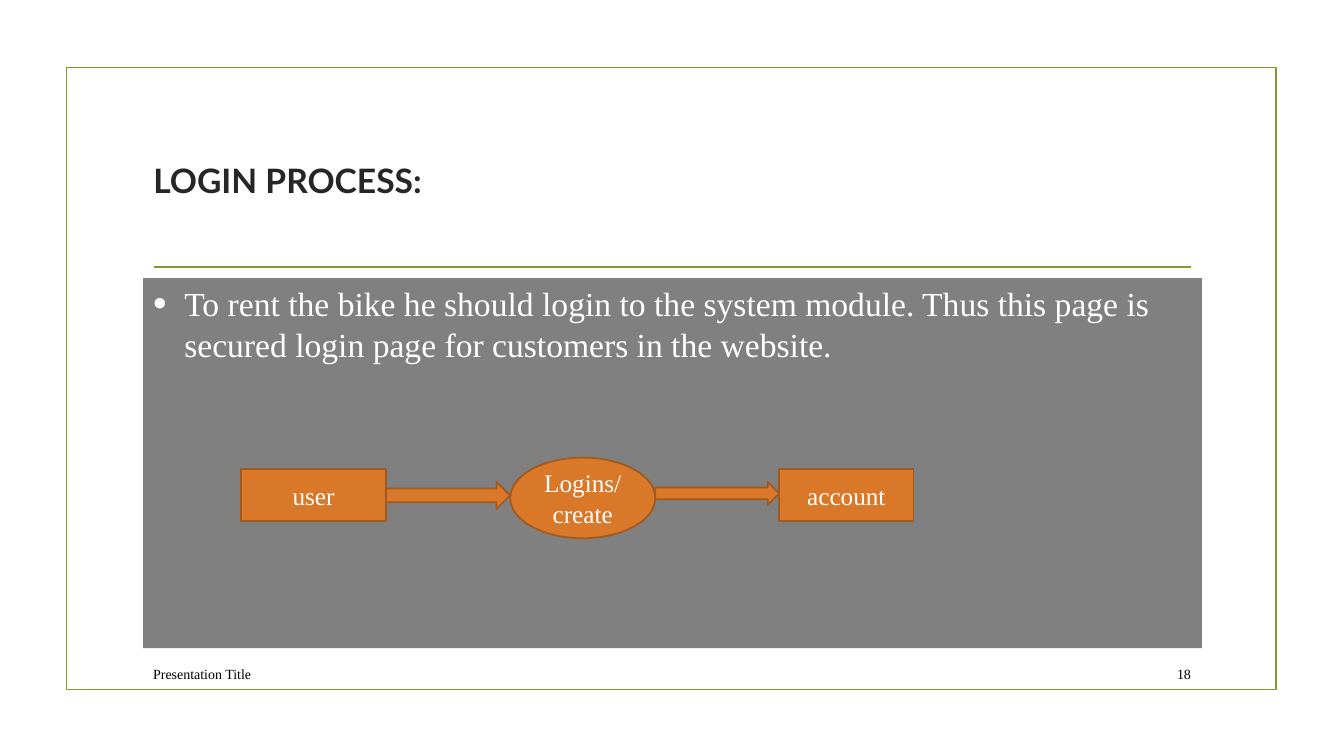
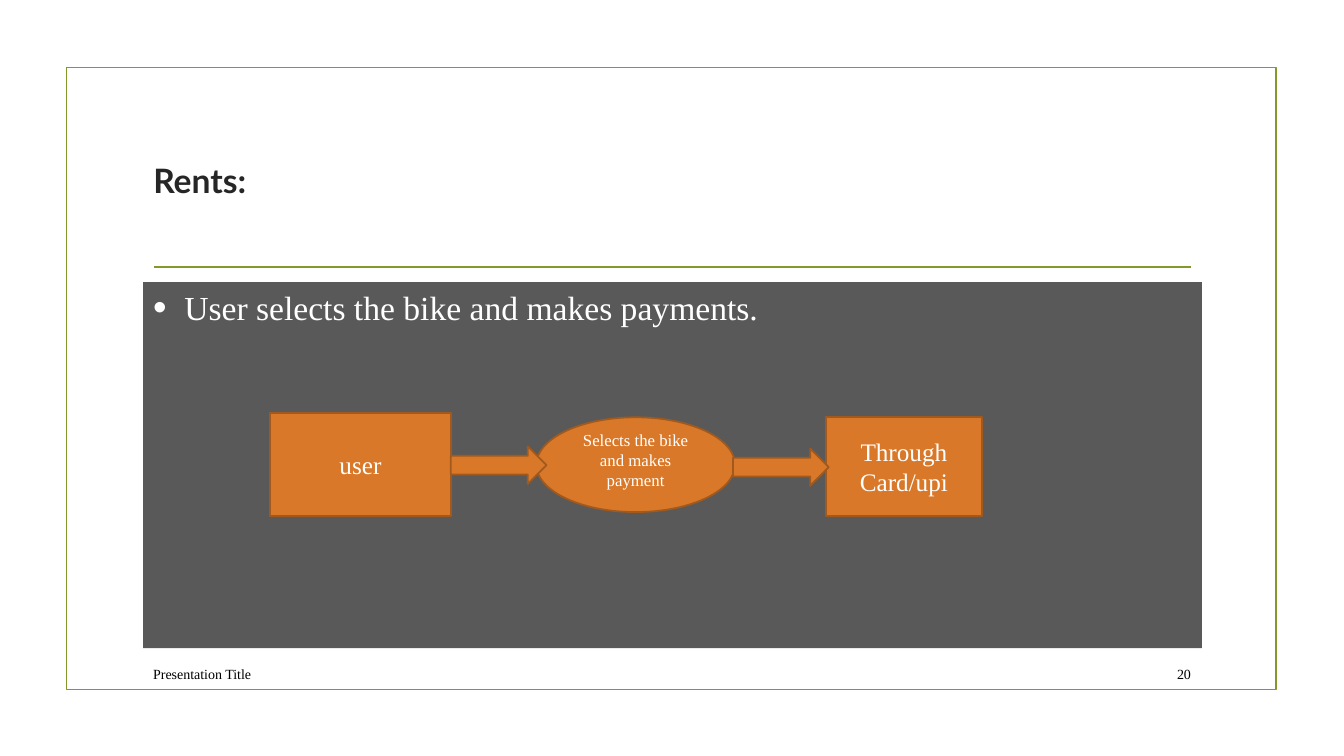
from lxml import etree
from pptx import Presentation
from pptx import util as u
from pptx.dml.color import RGBColor
from pptx.enum import shapes, text
from pptx.oxml import ns

PX = 9144  # EMU in one px, 100 px to the inch
WIDE, HIGH = 1333, 750
LEFT, SPAN = 142, 1050
INSET = 5

GREEN = RGBColor(0x83, 0x99, 0x2A)
INK = RGBColor(0x26, 0x26, 0x26)
BLACK = RGBColor(0, 0, 0)
WHITE = RGBColor(0xFF, 0xFF, 0xFF)
GRAY = RGBColor(0x80, 0x80, 0x80)
DARK = RGBColor(0x59, 0x59, 0x59)
ORANGE = RGBColor(0xD9, 0x78, 0x28)
RUST = RGBColor(0xA1, 0x59, 0x1E)

HEAD, BODY = "Lato", "Times New Roman"
STROKE = u.Pt(1.25)

KIND = shapes.MSO_SHAPE
ALIGN = text.PP_ALIGN
ANCHOR = text.MSO_ANCHOR


def px(*sizes):
    return [u.Emu(size * PX) for size in sizes]


class Deck:
    def __init__(self):
        self.prs = Presentation()
        self.prs.slide_width, self.prs.slide_height = px(WIDE, HIGH)
        self.slide = None

    def page(self, title, number):
        """Start a slide with the frame, title, rule and footer all slides share."""
        self.slide = self.prs.slides.add_slide(self.prs.slide_layouts[5])
        self.shape(KIND.RECTANGLE, (66, 67, 1200, 617), None, GREEN)
        self.rule(153, 265, 1181)
        self.title(title)
        self.label("Presentation Title", (LEFT, 653, 799, 31), ALIGN.LEFT)
        self.label(number, (1132, 653, 59, 31), ALIGN.RIGHT)

    def put(self, shape, lines, size, color, align, font=BODY, bold=False,
            anchor=ANCHOR.MIDDLE):
        """Set the lines as paragraphs of the shape and return its text frame."""
        frame = shape.text_frame
        frame.word_wrap = True
        frame.auto_size = text.MSO_AUTO_SIZE.NONE
        frame.vertical_anchor = anchor
        for i, line in enumerate(lines):
            para = frame.add_paragraph() if i else frame.paragraphs[0]
            para.alignment = align
            run = para.add_run()
            run.text = line
            face = run.font
            face.name, face.size, face.bold = font, u.Pt(size), bold
            face.color.rgb = color
        return frame

    def title(self, words):
        box = self.slide.shapes.title
        box.left, box.top, box.width, box.height = px(LEFT, 107, SPAN, 143)
        self.put(box, [words], 24, INK, ALIGN.LEFT, HEAD, True)

    def label(self, words, at, align):
        box = self.slide.shapes.add_textbox(*px(*at))
        self.put(box, [words], 10, BLACK, align)

    def rule(self, start, y, end):
        line = self.slide.shapes.add_connector(
            shapes.MSO_CONNECTOR.STRAIGHT, *px(start, y, end, y))
        line.line.color.rgb, line.line.width = GREEN, STROKE
        etree.SubElement(line._element.spPr, ns.qn("a:effectLst"))

    def shape(self, kind, at, fill, edge):
        shape = self.slide.shapes.add_shape(kind, *px(*at))
        shape.shadow.inherit = False
        if fill is None:
            shape.fill.background()
        else:
            shape.fill.solid()
            shape.fill.fore_color.rgb = fill
        if edge is None:
            shape.line.fill.background()
        else:
            shape.line.color.rgb, shape.line.width = edge, STROKE
        return shape

    def panel(self, words, top, fill):
        """Add the filled body, down to the footer, with one bulleted line."""
        box = self.shape(KIND.RECTANGLE, (LEFT, top, SPAN, 643 - top), fill, None)
        frame = self.put(box, [words], 24, WHITE, ALIGN.LEFT, anchor=ANCHOR.TOP)
        para = frame.paragraphs[0]
        props = para._p.get_or_add_pPr()
        indent, = px(31)
        props.set("marL", str(indent))
        props.set("indent", str(-indent))
        tint = etree.SubElement(props, ns.qn("a:buClr"))
        etree.SubElement(tint, ns.qn("a:srgbClr"), val=str(WHITE))
        etree.SubElement(props, ns.qn("a:buSzPct"), val="115000")
        etree.SubElement(props, ns.qn("a:buFont"), typeface="Arial")
        etree.SubElement(props, ns.qn("a:buChar"), char="•")
        para.space_after = u.Pt(6)

    def node(self, kind, at, *lines, size=18, lift=0):
        """Add a step of the flow; lift raises its text by that many px."""
        shape = self.shape(kind, at, ORANGE, RUST)
        frame = self.put(shape, lines, size, WHITE, ALIGN.CENTER)
        frame.margin_bottom, = px(INSET + 2 * lift)

    def arrow(self, *at):
        self.shape(KIND.RIGHT_ARROW, at, ORANGE, RUST)


def main():
    deck = Deck()

    deck.page("LOGIN PROCESS:", "18")
    deck.panel("To rent the bike he should login to the system module. "
               "Thus this page is secured login page for customers in the website.",
               276, GRAY)
    deck.node(KIND.RECTANGLE, (239, 465, 144, 52), "user")
    deck.node(KIND.OVAL, (506, 454, 144, 80), "Logins/create")
    deck.node(KIND.RECTANGLE, (773, 465, 133, 52), "account")
    deck.arrow(383, 478, 123, 27)
    deck.arrow(650, 478, 123, 23)

    deck.page("Rents:", "20")
    deck.panel("User selects the bike and makes payments.", 280, DARK)
    deck.node(KIND.RECTANGLE, (268, 410, 179, 102), "user")
    deck.node(KIND.OVAL, (532, 414, 197, 94),
              "Selects the bike and makes payment", size=12, lift=5)
    deck.node(KIND.RECTANGLE, (819, 414, 155, 98), "Through", "Card/upi")
    deck.arrow(447, 443, 95, 37)
    deck.arrow(727, 445, 95, 37)

    deck.prs.save("out.pptx")


if __name__ == "__main__":
    main()
